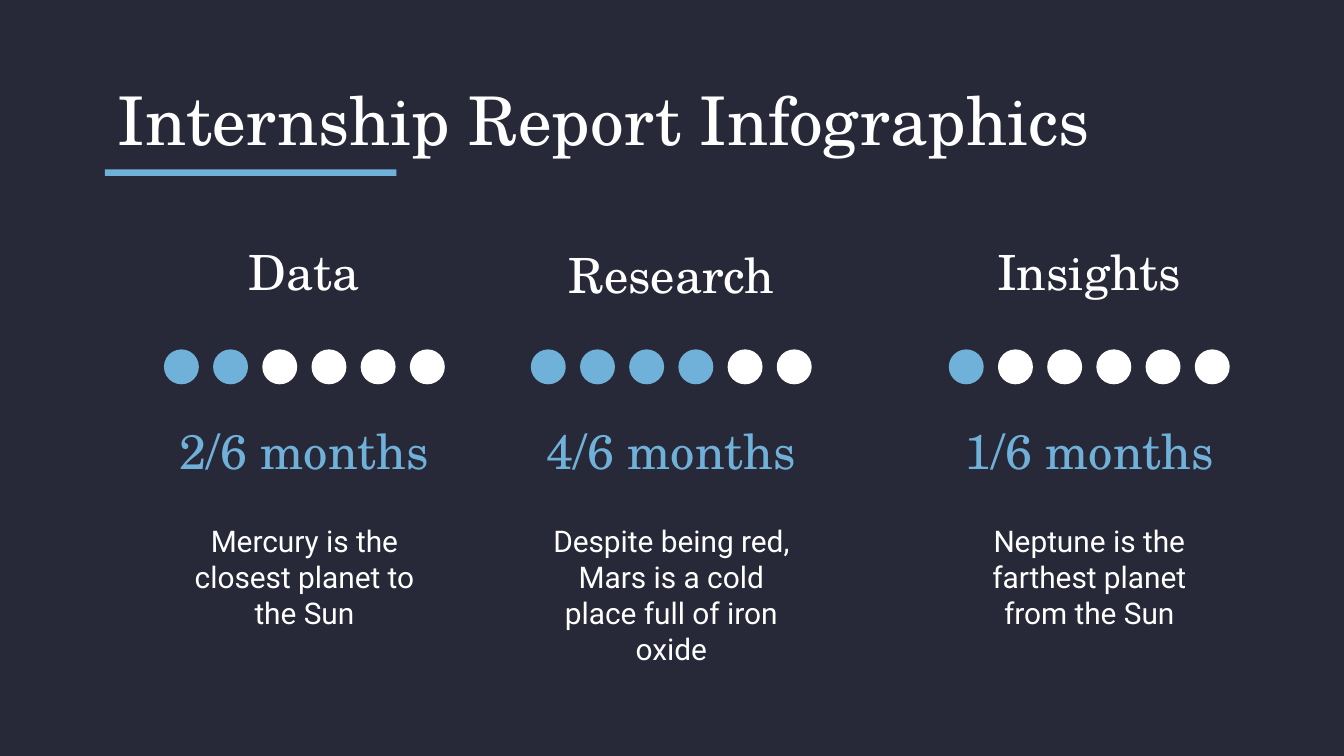
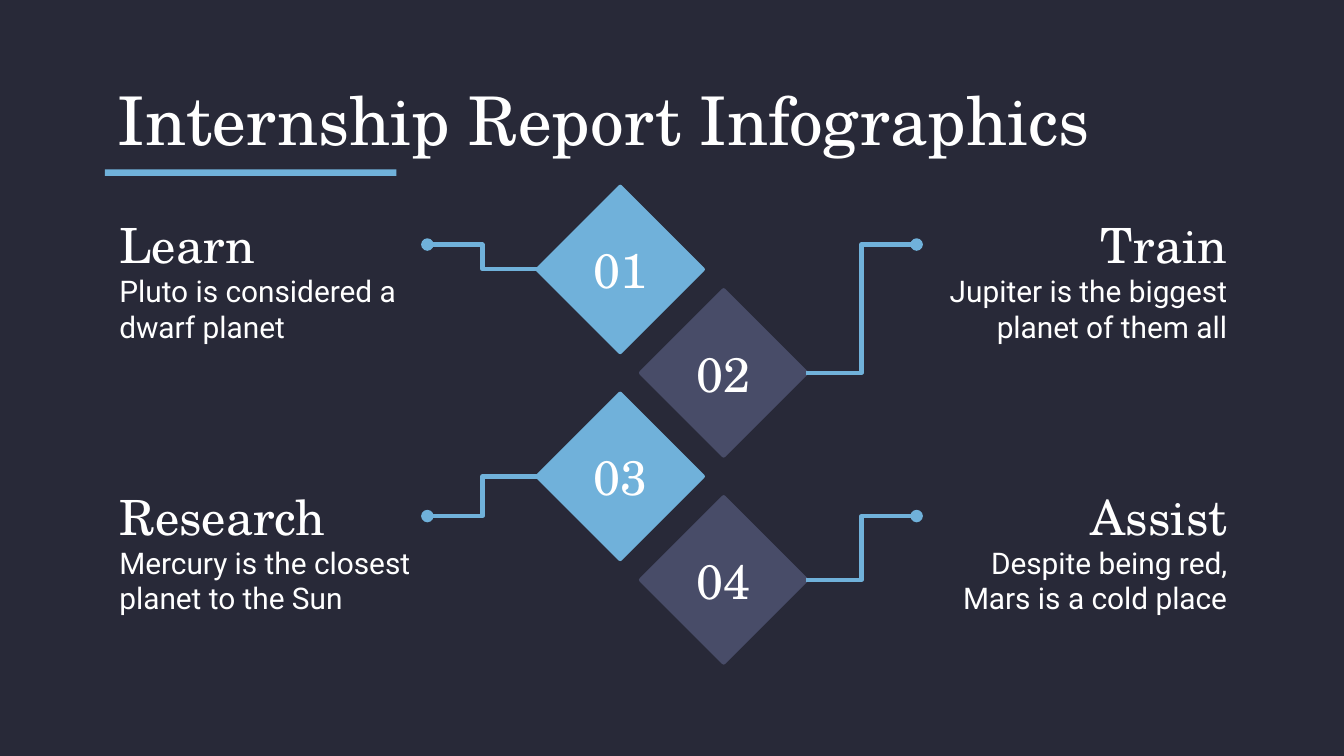
from dataclasses import dataclass
from typing import NamedTuple

from lxml.etree import SubElement
from pptx import Presentation
from pptx.dml.color import RGBColor
from pptx.enum.shapes import MSO_CONNECTOR as Link, MSO_SHAPE as Form
from pptx.enum.text import MSO_ANCHOR as Anchor, PP_ALIGN as Align
from pptx.oxml.ns import qn
from pptx.shapes.autoshape import Shape
from pptx.slide import Slide
from pptx.util import Inches, Pt

COLUMNS, ROWS = 100, 56.25
CELL = Inches(0.1)


class Area(NamedTuple):
    """Place on the grid, in columns and rows."""
    left: float
    top: float
    width: float
    height: float

    def emu(self) -> tuple[int, ...]:
        """Convert the grid cells to slide lengths."""
        return tuple(round(cells * CELL) for cells in self)


class Style(NamedTuple):
    """Font, size, colour and vertical anchor of a text."""
    font: str
    size: float
    colour: str
    anchor: Anchor = Anchor.MIDDLE


@dataclass(frozen=True)
class Theme:
    """Colours and type styles of the deck."""
    night: str = "282938"
    sky: str = "70B1DA"
    slate: str = "484C68"
    white: str = "FFFFFF"
    stroke: float = 2.25
    title: Style = Style("TeX Gyre Schola", 36, white)
    heading: Style = Style("TeX Gyre Schola", 26, white)
    months: Style = Style("TeX Gyre Schola", 26, sky)
    body: Style = Style("Roboto", 16, white, Anchor.TOP)


@dataclass(frozen=True)
class Phase:
    """Internship phase with its share of the months."""
    heading: str
    done: int
    detail: str
    left: float
    heading_top: float = 18.4


@dataclass(frozen=True)
class Step:
    """Numbered step with its caption."""
    heading: str
    detail: str
    heading_top: float


THEME = Theme()
TITLE = "Internship Report Infographics"
MONTHS = 6
PHASE_WIDTH, DOT = 20.9, 2.6
DIAMOND, STAGGER = 12.3, 7.7
CAPTION_WIDTH = 24

PHASES = (
    Phase("Data", 2, "Mercury is the closest planet to the Sun", 12.2),
    Phase("Research", 4, "Despite being red, Mars is a cold place full of iron oxide",
          39.5, 18.6),
    Phase("Insights", 1, "Neptune is the farthest planet from the Sun", 70.6),
)
STEPS = (
    Step("Learn", "Pluto is considered a dwarf planet", 16.4),
    Step("Train", "Jupiter is the biggest planet of them all", 16.4),
    Step("Research", "Mercury is the closest planet to the Sun", 36.6),
    Step("Assist", "Despite being red, Mars is a cold place", 36.6),
)


def write(holder: Shape, text: str, style: Style, align: Align) -> None:
    """Set one styled run in a shape."""
    frame = holder.text_frame
    frame.word_wrap = True
    frame.vertical_anchor = style.anchor
    frame.margin_left = frame.margin_right = CELL
    frame.margin_top = frame.margin_bottom = CELL
    paragraph = frame.paragraphs[0]
    paragraph.alignment = align
    run = paragraph.add_run()
    run.text = text
    run.font.name = style.font
    run.font.size = Pt(style.size)
    run.font.color.rgb = RGBColor.from_string(style.colour)


def add_text(slide: Slide, area: Area, text: str, style: Style,
             align: Align = Align.LEFT) -> None:
    """Place a text box."""
    write(slide.shapes.add_textbox(*area.emu()), text, style, align)


def add_form(slide: Slide, form: Form, area: Area, colour: str,
             stroke: float = 0) -> Shape:
    """Place a flat shape, outlined in its own colour if a stroke is given."""
    figure = slide.shapes.add_shape(form, *area.emu())
    figure.shadow.inherit = False
    figure.fill.solid()
    figure.fill.fore_color.rgb = RGBColor.from_string(colour)
    if stroke:
        figure.line.color.rgb = RGBColor.from_string(colour)
        figure.line.width = Pt(stroke)
    else:
        figure.line.fill.background()
    return figure


def add_lead(slide: Slide, diamond: Shape, side: int, x: float, y: float) -> None:
    """Lead a bent line from a side of a diamond to a dot beside its caption."""
    start_x = diamond.left + (diamond.width if side == 3 else 0)
    start_y = diamond.top + diamond.height // 2
    lead = slide.shapes.add_connector(
        Link.ELBOW, start_x, start_y, round(x * CELL), round(y * CELL))
    lead.begin_connect(diamond, side)
    lead.line.color.rgb = RGBColor.from_string(THEME.sky)
    lead.line.width = Pt(THEME.stroke)
    properties = lead.element.spPr
    SubElement(properties.find(qn("a:ln")), qn("a:tailEnd"), type="oval")
    SubElement(properties, qn("a:effectLst"))


def add_titled_slide(deck: Presentation) -> Slide:
    """Start a slide with the shared title and its rule."""
    slide = deck.slides.add_slide(deck.slide_layouts[6])
    add_form(slide, Form.RECTANGLE, Area(7.8, 12.6, 21.7, 0.5), THEME.sky)
    add_text(slide, Area(7.8, 5.9, 84.4, 5.9), TITLE, THEME.title)
    return slide


def add_phase(slide: Slide, phase: Phase) -> None:
    """Draw a phase column with one dot for each month."""
    pitch = (PHASE_WIDTH - DOT) / (MONTHS - 1)
    for month in range(MONTHS):
        colour = THEME.sky if month < phase.done else THEME.white
        add_form(slide, Form.OVAL,
                 Area(phase.left + month * pitch, 26, DOT, DOT), colour)
    for top, height, text, style in (
        (phase.heading_top, 3.6, phase.heading, THEME.heading),
        (29.1, 8.8, f"{phase.done}/{MONTHS} months", THEME.months),
        (37.9, 9.6, phase.detail, THEME.body),
    ):
        add_text(slide, Area(phase.left, top, PHASE_WIDTH, height), text, style,
                 Align.CENTER)


def add_step(slide: Slide, index: int, step: Step) -> None:
    """Draw a diamond, its lead and its caption, on alternate sides."""
    on_right = index % 2 == 1
    diamond = add_form(
        slide, Form.DIAMOND,
        Area(40 + STAGGER * on_right, 13.9 + STAGGER * index, DIAMOND, DIAMOND),
        THEME.slate if on_right else THEME.sky, THEME.stroke)
    write(diamond, f"{index + 1:02}", THEME.heading, Align.CENTER)
    caption_left, lead_end, side, align = (
        (68.3, 68.2, 3, Align.RIGHT) if on_right else (7.9, 31.8, 1, Align.LEFT))
    add_lead(slide, diamond, side, lead_end, step.heading_top + 1.8)
    add_text(slide, Area(caption_left, step.heading_top, CAPTION_WIDTH, 3.6),
             step.heading, THEME.heading, align)
    add_text(slide, Area(caption_left, step.heading_top + 2.9, CAPTION_WIDTH, 7.5),
             step.detail, THEME.body, align)


def main() -> None:
    """Build and save the deck."""
    deck = Presentation()
    deck.slide_width, deck.slide_height = COLUMNS * CELL, round(ROWS * CELL)
    backdrop = deck.slide_master.background.fill
    backdrop.solid()
    backdrop.fore_color.rgb = RGBColor.from_string(THEME.night)

    progress = add_titled_slide(deck)
    for phase in PHASES:
        add_phase(progress, phase)

    roadmap = add_titled_slide(deck)
    for index, step in enumerate(STEPS):
        add_step(roadmap, index, step)

    deck.save("out.pptx")


if __name__ == "__main__":
    main()
